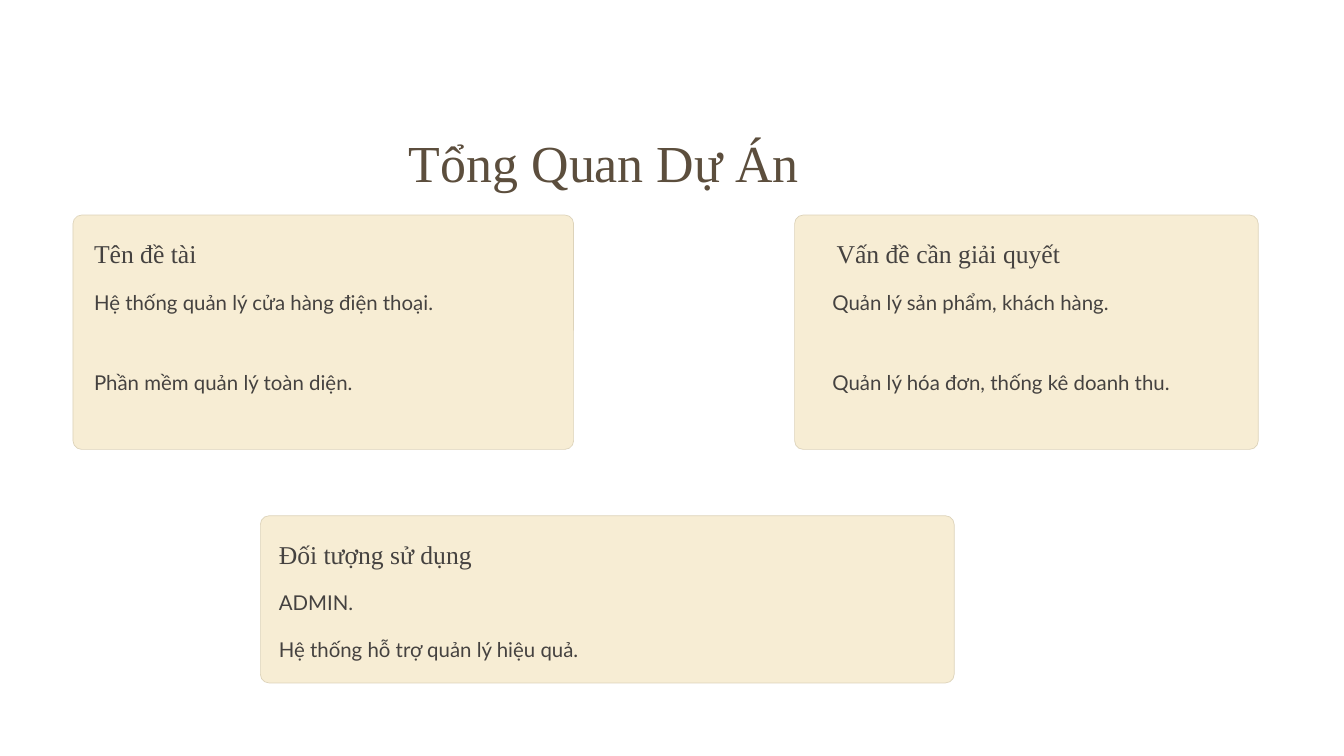
from pptx import Presentation
from pptx.dml.color import RGBColor
from pptx.enum.shapes import MSO_SHAPE
from pptx.enum.text import MSO_ANCHOR, PP_ALIGN
from pptx.util import Pt

ROUND = MSO_SHAPE.ROUNDED_RECTANGLE
TOP = MSO_ANCHOR.TOP
LEFT = PP_ALIGN.LEFT

COLORS = {"title": "5C4E3D", "text": "454240", "card": "F7EDD4", "edge": "DDD3BA"}
STYLES = {
    "title": {"name": "Times New Roman", "size": Pt(44.5), "color": "title", "lead": 55.5},
    "head": {"name": "Times New Roman", "size": Pt(22), "color": "text", "lead": 27.5},
    "body": {"name": "Lato", "size": Pt(17.5), "color": "text", "lead": 28.5},
}
RADIUS = 7.44
HEAD_TOP = 18.4
BODY_TOP = 56.6

# box, heading indent, body indent, step between lines, heading, lines
CARDS = [
    ((62.6, 184.3, 429.1, 200.9), 18, 18, 68.4, "Tên đề tài",
     ["Hệ thống quản lý cửa hàng điện thoại.", "Phần mềm quản lý toàn diện."]),
    ((681.1, 184.3, 397.4, 200.9), 36, 32.4, 68.4, "Vấn đề cần giải quyết",
     ["Quản lý sản phẩm, khách hàng.", "Quản lý hóa đơn, thống kê doanh thu."]),
    ((223.2, 442.1, 594.7, 143.3), 15.8, 15.8, 39.6, "Đối tượng sử dụng",
     ["ADMIN.", "Hệ thống hỗ trợ quản lý hiệu quả."]),
]


def rgb(key):
    return RGBColor.from_string(COLORS[key])


def add_text(slide, box, text, kind):
    style = STYLES[kind]
    frame = slide.shapes.add_textbox(*map(Pt, box)).text_frame
    layout = {"word_wrap": True, "vertical_anchor": TOP, "margin_left": 0,
              "margin_right": 0, "margin_top": 0, "margin_bottom": 0}
    for key, value in layout.items():
        setattr(frame, key, value)
    para = frame.paragraphs[0]
    para.alignment = LEFT
    para.line_spacing = Pt(style["lead"])
    run = para.add_run()
    run.text = text
    for key in ("name", "size"):
        setattr(run.font, key, style[key])
    run.font.color.rgb = rgb(style["color"])


def add_card(slide, box, head_pad, body_pad, step, head, lines):
    left, top, width, height = box
    card = slide.shapes.add_shape(ROUND, *map(Pt, box))
    card.adjustments[0] = RADIUS / height
    card.shadow.inherit = False
    card.fill.solid()
    card.fill.fore_color.rgb = rgb("card")
    card.line.color.rgb = rgb("edge")
    card.line.width = Pt(0.6)

    rows = [(head, "head", head_pad, HEAD_TOP)]
    rows += [(line, "body", body_pad, BODY_TOP + i * step)
             for i, line in enumerate(lines)]
    for text, kind, pad, drop in rows:
        area = (left + pad, top + drop, width - 1.5 * pad, STYLES[kind]["lead"])
        add_text(slide, area, text, kind)


def main():
    deck = Presentation()
    deck.slide_width, deck.slide_height = Pt(1152), Pt(648)
    slide = deck.slides.add_slide(deck.slide_layouts[6])
    add_text(slide, (350.6, 110.2, 446.4, 56.2), "Tổng Quan Dự Án", "title")
    for card in CARDS:
        add_card(slide, *card)
    deck.save("out.pptx")


if __name__ == "__main__":
    main()
